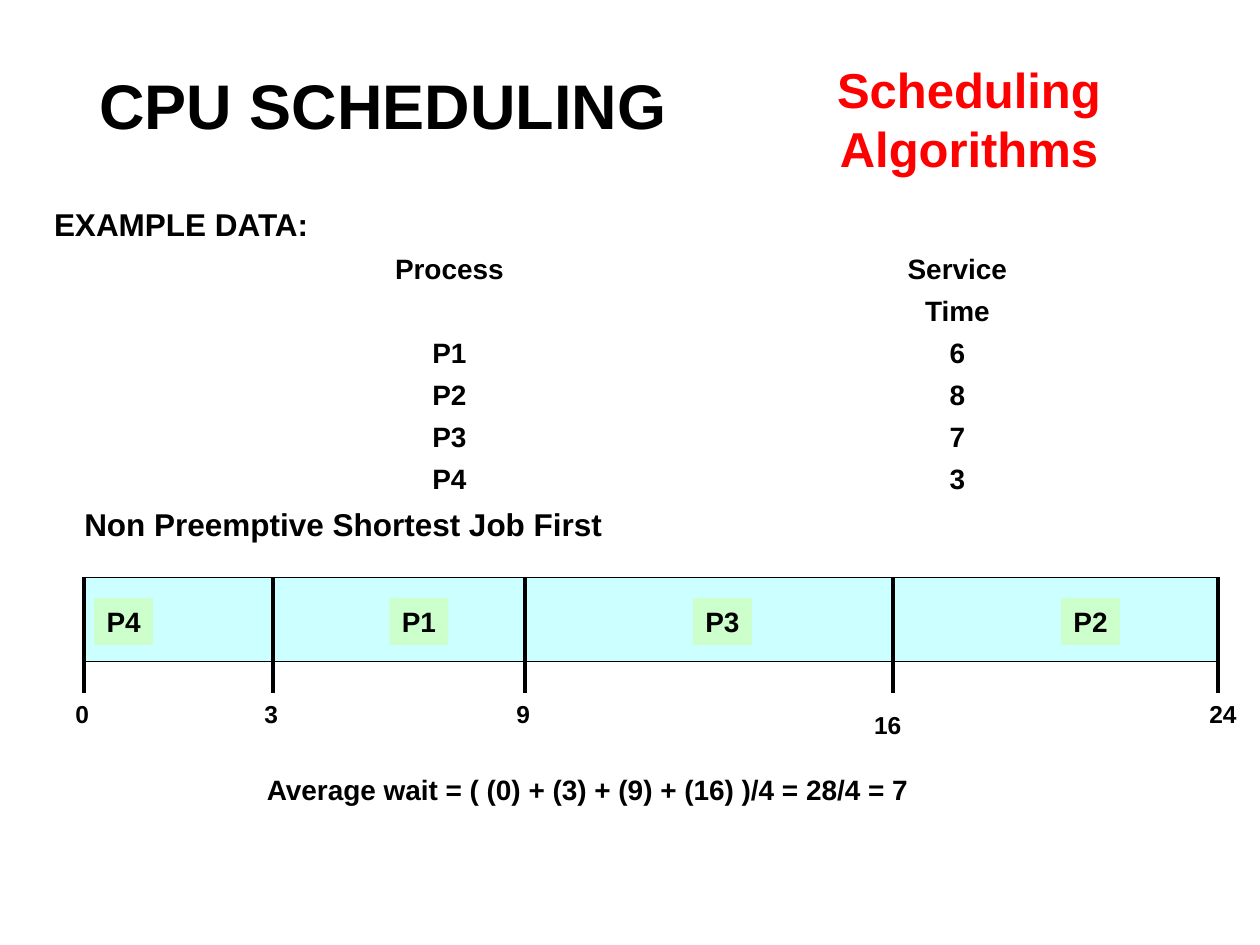
"""Build the CPU scheduling slide: process data and a shortest-job-first timeline."""
from typing import NamedTuple, Sequence

import lxml.etree
import pptx
import pptx.dml.color
import pptx.enum.shapes
import pptx.enum.text
import pptx.oxml.ns
import pptx.util

Cm = pptx.util.Cm
Pt = pptx.util.Pt
ALIGN = pptx.enum.text.PP_ALIGN
BLACK, RED, PALE_BLUE, PALE_GREEN = "000000", "FF0000", "CCFFFF", "CCFFCC"
BAR_LEFT, BAR_TOP, BAR_WIDTH, BAR_HEIGHT = 1.69, 11.64, 22.86, 1.69
TICK_BOTTOM = 13.97
COLUMN_CENTRES = (7.97, 18.21)


class Area(NamedTuple):
    left: float
    top: float
    width: float
    height: float


class Tick(NamedTuple):
    time: str
    x: float
    label: Area


class Job(NamedTuple):
    name: str
    left: float


TICKS = [
    Tick("0", 1.69, Area(1.27, 13.97, 0.79, 0.86)),
    Tick("3", 5.5, Area(5.08, 13.97, 0.79, 0.86)),
    Tick("9", 10.58, Area(10.16, 13.97, 0.79, 0.86)),
    Tick("16", 18, Area(17.37, 14.18, 1.04, 0.86)),
    Tick("24", 24.55, Area(24.13, 13.97, 1.04, 0.86)),
]
JOBS = [Job("P4", 1.9), Job("P1", 7.85), Job("P3", 13.97), Job("P2", 21.39)]
ROWS = [("Process", "Service"), ("", "Time"), ("P1", "6"), ("P2", "8"), ("P3", "7"), ("P4", "3")]


def colour(value: str) -> pptx.dml.color.RGBColor:
    """Turn a hex string into a colour."""
    return pptx.dml.color.RGBColor.from_string(value)


def lengths(area: Area) -> list:
    """Convert an area in centimetres to slide lengths."""
    return [Cm(value) for value in area]


def format_para(para, size: float, align=ALIGN.LEFT, ink: str = BLACK) -> None:
    """Set alignment and a bold Arial font on a paragraph."""
    para.alignment = align
    para.font.name = "Arial"
    para.font.size = Pt(size)
    para.font.bold = True
    para.font.color.rgb = colour(ink)


def write(shape, lines: Sequence[str], size: float, wrap: bool = False,
          align=ALIGN.LEFT, ink: str = BLACK) -> None:
    """Write lines of text into a shape."""
    frame = shape.text_frame
    frame.word_wrap = wrap
    frame.auto_size = pptx.enum.text.MSO_AUTO_SIZE.NONE
    frame.text = "\n".join(lines)
    for para in frame.paragraphs:
        format_para(para, size, align, ink)


def add_text(page, area: Area, lines: Sequence[str], size: float, **style):
    """Add a text box."""
    box = page.shapes.add_textbox(*lengths(area))
    write(box, lines, size, **style)
    return box


def add_block(page, area: Area, fill: str):
    """Add a filled rectangle without shadow or outline."""
    block = page.shapes.add_shape(pptx.enum.shapes.MSO_SHAPE.RECTANGLE, *lengths(area))
    block.shadow.inherit = False
    block.fill.solid()
    block.fill.fore_color.rgb = colour(fill)
    block.line.fill.background()
    return block


def add_tick(page, tick: Tick) -> None:
    """Draw a time mark with its label."""
    line = page.shapes.add_connector(
        pptx.enum.shapes.MSO_CONNECTOR.STRAIGHT,
        Cm(tick.x), Cm(BAR_TOP), Cm(tick.x), Cm(TICK_BOTTOM))
    line.line.color.rgb = colour(BLACK)
    line.line.width = Pt(2.25)
    lxml.etree.SubElement(line._element.spPr, pptx.oxml.ns.qn("a:effectLst"))
    add_text(page, tick.label, [tick.time], 14)


def add_job(page, job: Job) -> None:
    """Draw a process label on the timeline."""
    block = add_block(page, Area(job.left, 12.06, 1.19, 0.94), PALE_GREEN)
    write(block, [job.name], 16)


def set_tabs(para, centres: Sequence[float]) -> None:
    """Give a paragraph centred tab stops."""
    tabs = lxml.etree.Element(pptx.oxml.ns.qn("a:tabLst"))
    for centre in centres:
        lxml.etree.SubElement(tabs, pptx.oxml.ns.qn("a:tab"), pos=str(Cm(centre)), algn="ctr")
    para._p.get_or_add_pPr().append(tabs)


def add_process_data(page) -> None:
    """Add the example data in tabbed columns."""
    box = page.shapes.add_textbox(*lengths(Area(0.84, 4.01, 23.93, 5.92)))
    frame = box.text_frame
    frame.word_wrap = True
    heading = frame.paragraphs[0]
    heading.text = "EXAMPLE DATA:"
    format_para(heading, 18)
    for row in ROWS:
        para = frame.add_paragraph()
        para.text = "".join(f"\t{cell}" for cell in row)
        set_tabs(para, COLUMN_CENTRES)
        format_para(para, 16)
    for para in frame.paragraphs:
        para.space_before = Pt(4.8)


def add_title(page) -> None:
    """Move and format the title placeholder."""
    title = page.shapes.title
    title.left, title.top, title.width, title.height = lengths(Area(1.47, 0.84, 12.5, 2.54))
    write(title, ["CPU SCHEDULING"], 36, wrap=True, align=ALIGN.CENTER)
    title.text_frame.vertical_anchor = pptx.enum.text.MSO_ANCHOR.MIDDLE


def main() -> None:
    """Build and save the deck."""
    deck = pptx.Presentation()
    deck.slide_width, deck.slide_height = Cm(25.4), Cm(19.05)
    page = deck.slides.add_slide(deck.slide_layouts[5])
    add_title(page)
    add_text(page, Area(15.04, 1.07, 8.99, 2.64), ["Scheduling", "Algorithms"], 28,
             wrap=True, align=ALIGN.CENTER, ink=RED)
    add_process_data(page)
    add_text(page, Area(1.45, 10.06, 10.95, 1.02), ["Non Preemptive Shortest Job First"], 18)
    bar = add_block(page, Area(BAR_LEFT, BAR_TOP, BAR_WIDTH, BAR_HEIGHT), PALE_BLUE)
    bar.line.color.rgb = colour(BLACK)
    bar.line.width = Pt(0.75)
    for tick in TICKS:
        add_tick(page, tick)
    for job in JOBS:
        add_job(page, job)
    add_text(page, Area(5.13, 15.44, 13.46, 0.94),
             ["Average wait = ( (0) + (3) + (9) + (16) )/4 = 28/4 = 7"], 16)
    deck.save("out.pptx")


if __name__ == "__main__":
    main()
